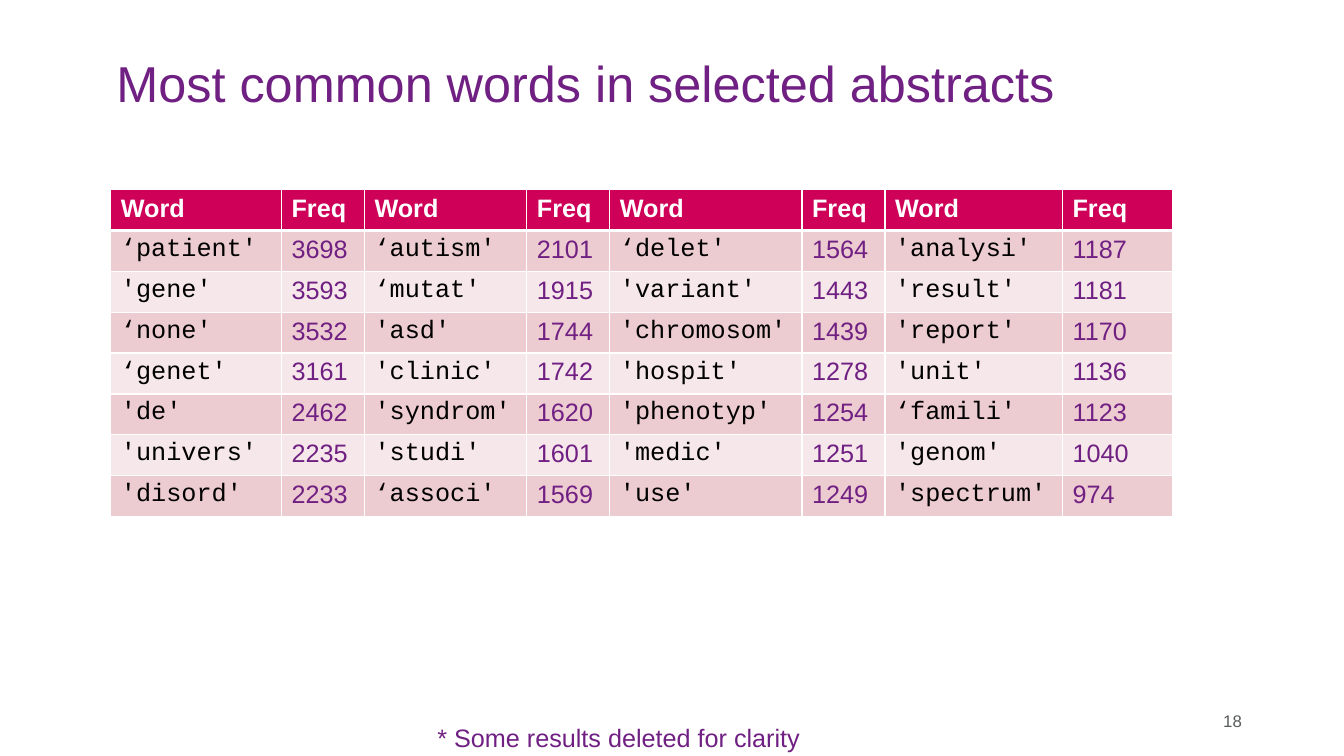
from lxml.etree import SubElement
from pptx import Presentation
from pptx.dml.color import RGBColor
from pptx.enum.text import MSO_ANCHOR, PP_ALIGN
from pptx.oxml.ns import qn
from pptx.util import Pt

PURPLE = RGBColor(0x70, 0x20, 0x82)
PINK = RGBColor(0xCE, 0x00, 0x57)
ROSE = RGBColor(0xED, 0xCC, 0xD1)
BLUSH = RGBColor(0xF6, 0xE7, 0xEA)
GREY = RGBColor(0x57, 0x5C, 0x59)
BLACK = RGBColor(0, 0, 0)
WHITE = RGBColor(0xFF, 0xFF, 0xFF)

HEAD = ("Word", "Freq") * 4
ROWS = [
    ("‘patient'", "3698", "‘autism'", "2101", "‘delet'", "1564", "'analysi'", "1187"),
    ("'gene'", "3593", "‘mutat'", "1915", "'variant'", "1443", "'result'", "1181"),
    ("‘none'", "3532", "'asd'", "1744", "'chromosom'", "1439", "'report'", "1170"),
    ("‘genet'", "3161", "'clinic'", "1742", "'hospit'", "1278", "'unit'", "1136"),
    ("'de'", "2462", "'syndrom'", "1620", "'phenotyp'", "1254", "‘famili'", "1123"),
    ("'univers'", "2235", "'studi'", "1601", "'medic'", "1251", "'genom'", "1040"),
    ("'disord'", "2233", "‘associ'", "1569", "'use'", "1249", "'spectrum'", "974"),
]
WIDTHS = (121.9, 59.3, 116, 59.3, 137.3, 59.3, 126.8, 78.7)


class Deck:
    base = {"name": "Arial", "size": Pt(18), "bold": False}

    def __init__(self, wide, high):
        self.file = Presentation()
        self.file.slide_width, self.file.slide_height = Pt(wide), Pt(high)
        self.slide = self.file.slides.add_slide(self.file.slide_layouts[5])

    def put(self, frame, text, color, **style):
        para = frame.paragraphs[0]
        para.text = text
        font = para.runs[0].font
        for key, value in {**self.base, **style}.items():
            setattr(font, key, value)
        font.color.rgb = color
        return para

    def title(self, text, left, top, wide, high):
        shape = self.slide.shapes.title
        box = {"left": left, "top": top, "width": wide, "height": high}
        for key, value in box.items():
            setattr(shape, key, Pt(value))
        frame = shape.text_frame
        frame.vertical_anchor = MSO_ANCHOR.MIDDLE
        frame.margin_left = Pt(17)
        para = self.put(frame, text, PURPLE, size=Pt(36))
        para.alignment = PP_ALIGN.LEFT
        para.line_spacing = 0.9

    def label(self, text, left, top, wide, high, color, size,
              align=PP_ALIGN.LEFT, anchor=MSO_ANCHOR.TOP):
        box = self.slide.shapes.add_textbox(Pt(left), Pt(top), Pt(wide), Pt(high))
        frame = box.text_frame
        frame.word_wrap = True
        frame.vertical_anchor = anchor
        self.put(frame, text, color, size=Pt(size)).alignment = align

    def edge(self, cell, side, wide):
        line = SubElement(cell._tc.get_or_add_tcPr(), qn(f"a:ln{side}"), w=str(Pt(wide)))
        fill = SubElement(line, qn("a:solidFill"))
        SubElement(fill, qn("a:srgbClr"), val=str(WHITE))

    def cell(self, cell, text, row, col):
        for side in "LRTB":
            heavy = (row, side) in ((0, "B"), (1, "T"))
            self.edge(cell, side, 3 if heavy else 1)
        cell.fill.solid()
        cell.fill.fore_color.rgb = PINK if row == 0 else ROSE if row % 2 else BLUSH
        if row == 0:
            color, style = WHITE, {"bold": True}
        elif col % 2 == 0:
            color, style = BLACK, {"name": "Courier New"}
        else:
            color, style = PURPLE, {}
        self.put(cell.text_frame, text, color, **style)

    def table(self, rows, widths, left, top, step):
        frame = self.slide.shapes.add_table(
            len(rows), len(widths), Pt(left), Pt(top),
            Pt(sum(widths)), Pt(step * len(rows)))
        grid = frame.table
        for col, wide in zip(grid.columns, widths):
            col.width = Pt(wide)
        for y, row in enumerate(rows):
            grid.rows[y].height = Pt(step)
            for x, text in enumerate(row):
                self.cell(grid.cell(y, x), text, y, x)


def main():
    deck = Deck(960, 540)
    deck.title("Most common words in selected abstracts", 66.2, 40.3, 785.5, 43.2)
    deck.label("18", 678.2, 500.4, 216, 28.8, GREY, 12,
               PP_ALIGN.RIGHT, MSO_ANCHOR.MIDDLE)
    deck.table([HEAD] + ROWS, WIDTHS, 79.2, 135.4, 29.2)
    deck.label("* Some results deleted for clarity", 305.3, 512.6, 480.2, 29.1, PURPLE, 18)
    deck.file.save("out.pptx")


if __name__ == "__main__":
    main()
